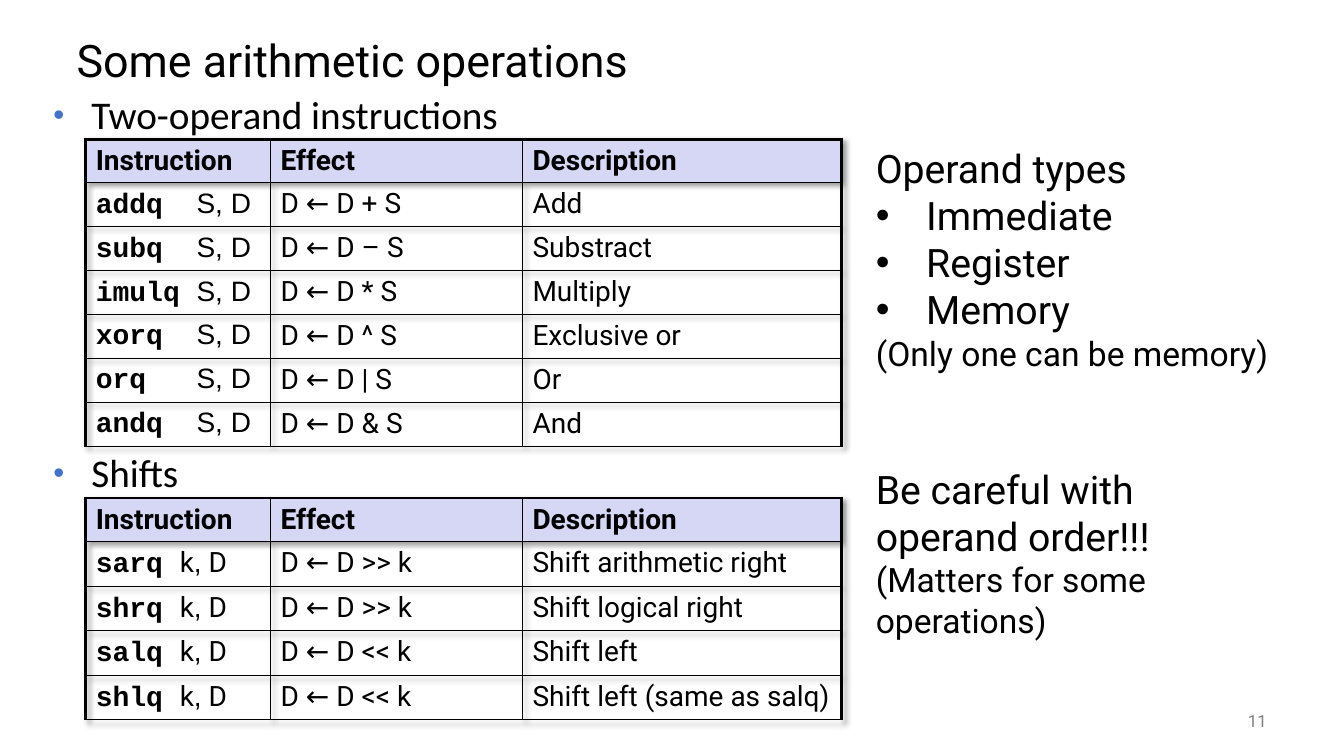
from lxml import etree
from pptx import Presentation
from pptx.dml.color import RGBColor
from pptx.enum import text
from pptx.oxml import ns
from pptx.util import Pt

BLACK = RGBColor(0x00, 0x00, 0x00)
GRAY = RGBColor(0x80, 0x80, 0x80)
BLUE = RGBColor(0x44, 0x72, 0xC4)
LAVENDER = RGBColor(0xD6, 0xD6, 0xF5)
ROW_H = 31.2
COL_W = [132, 180, 228]
HEADER = ["Instruction", "Effect", "Description"]


def add_xml(parent, tag, **attrs):
    el = etree.SubElement(parent, ns.qn(tag))
    for name, value in attrs.items():
        el.set(name, str(value))
    return el


def add_run(p, words, size, font="Roboto", bold=False, color=BLACK):
    r = p.add_run()
    r.text = words
    r.font.size = Pt(size)
    r.font.name = font
    r.font.bold = bold
    r.font.color.rgb = color


prs = Presentation()
prs.slide_width, prs.slide_height = Pt(960), Pt(540)
s = prs.slides.add_slide(prs.slide_layouts[3])

title, *headings = s.placeholders
title.left, title.top, title.width, title.height = Pt(47.5), Pt(18), Pt(864), Pt(54)
tf = title.text_frame
tf.auto_size = text.MSO_AUTO_SIZE.NONE
tf.vertical_anchor = text.MSO_ANCHOR.MIDDLE
p = tf.paragraphs[0]
p.alignment = text.PP_ALIGN.LEFT
p.line_spacing = 0.9
add_run(p, "Some arithmetic operations", 32)

for sp, top, words in zip(headings, [61.2, 316.8], ["Two-operand instructions", "Shifts"]):
    sp.left, sp.top, sp.width, sp.height = Pt(31), Pt(top), Pt(624), Pt(39.6)
    tf = sp.text_frame
    tf.auto_size = text.MSO_AUTO_SIZE.NONE
    p = tf.paragraphs[0]
    pPr = p._p.get_or_add_pPr()
    pPr.set("marL", str(Pt(27)))
    pPr.set("indent", str(Pt(-27)))
    add_xml(add_xml(pPr, "a:buClr"), "a:srgbClr", val=BLUE)
    add_xml(pPr, "a:buSzPct", val=80000)
    add_xml(pPr, "a:buFont", typeface="Arial")
    add_xml(pPr, "a:buChar", char="•")
    p.space_before = Pt(0)
    add_run(p, words, 28, "Calibri")

two_operand = [
    ["addq", "D ← D + S", "Add"],
    ["subq", "D ← D – S", "Substract"],
    ["imulq", "D ← D * S", "Multiply"],
    ["xorq", "D ← D ^ S", "Exclusive or"],
    ["orq", "D ← D | S", "Or"],
    ["andq", "D ← D & S", "And"],
]
shifts = [
    ["sarq", "D ← D >> k", "Shift arithmetic right"],
    ["shrq", "D ← D >> k", "Shift logical right"],
    ["salq", "D ← D << k", "Shift left"],
    ["shlq", "D ← D << k", "Shift left (same as salq)"],
]
tables = [
    (99.4, two_operand, 72, [("S, D", "Arial")]),
    (355.7, shifts, 60, [("k", "Roboto"), (",", "Arial"), (" D", "Roboto")]),
]
for top, instructions, tab, operands in tables:
    rows = [HEADER] + instructions
    frame = s.shapes.add_table(len(rows), len(COL_W), Pt(61.2), Pt(top),
                               Pt(sum(COL_W)), Pt(ROW_H * len(rows)))
    table = frame.table
    table.first_row = table.horz_banding = False
    tblPr = table._tbl.tblPr
    effects = add_xml(tblPr, "a:effectLst")
    tblPr.insert(0, effects)
    shadow = add_xml(effects, "a:outerShdw", blurRad=Pt(4), dist=Pt(3),
                     dir=2700000, algn="tl", rotWithShape=0)
    add_xml(add_xml(shadow, "a:srgbClr", val=BLACK), "a:alpha", val=40000)
    for column, width in zip(table.columns, COL_W):
        column.width = Pt(width)
    for i, row in enumerate(rows):
        table.rows[i].height = Pt(ROW_H)
        for j, words in enumerate(row):
            cell = table.cell(i, j)
            tcPr = cell._tc.get_or_add_tcPr()
            edges = [("a:lnL", j == 0), ("a:lnR", j == 2), ("a:lnT", i == 0), ("a:lnB", False)]
            for tag, outer in edges:
                ln = add_xml(tcPr, tag, w=Pt(2.25 if outer else 1))
                add_xml(add_xml(ln, "a:solidFill"), "a:srgbClr", val=BLACK)
            if i == 0:
                cell.fill.solid()
                cell.fill.fore_color.rgb = LAVENDER
            else:
                cell.fill.background()
            p = cell.text_frame.paragraphs[0]
            if i and j == 0:
                tabs = add_xml(p._p.get_or_add_pPr(), "a:tabLst")
                add_xml(tabs, "a:tab", pos=Pt(tab), algn="l")
                add_run(p, words + "\t", 20, "Courier New", True)
                for operand, font in operands:
                    add_run(p, operand, 20, font)
            else:
                add_run(p, words, 20, bold=i == 0)

sp = s.shapes.add_textbox(Pt(618.5), Pt(99.4), Pt(301), Pt(399.6))
tf = sp.text_frame
tf.word_wrap = True
notes = [
    ("Operand types", 28, False, 0),
    ("Immediate", 28, True, 0),
    ("Register", 28, True, 0),
    ("Memory", 28, True, 0),
    ("(Only one can be memory)", 24, False, 0),
    ("Be careful with operand order!!!", 28, False, 66),
    ("(Matters for some operations)", 24, False, 0),
]
for k, (words, size, bulleted, gap) in enumerate(notes):
    p = tf.add_paragraph() if k else tf.paragraphs[0]
    if bulleted:
        pPr = p._p.get_or_add_pPr()
        pPr.set("marL", str(Pt(36)))
        pPr.set("indent", str(Pt(-36)))
        add_xml(pPr, "a:buFont", typeface="Arial")
        add_xml(pPr, "a:buChar", char="•")
    p.space_before = Pt(gap)
    add_run(p, words, size)

sp = s.shapes.add_textbox(Pt(840), Pt(500.4), Pt(72), Pt(28.8))
tf = sp.text_frame
tf.word_wrap = True
tf.vertical_anchor = text.MSO_ANCHOR.MIDDLE
p = tf.paragraphs[0]
p.alignment = text.PP_ALIGN.RIGHT
add_run(p, "11", 12, color=GRAY)

prs.save("out.pptx")
